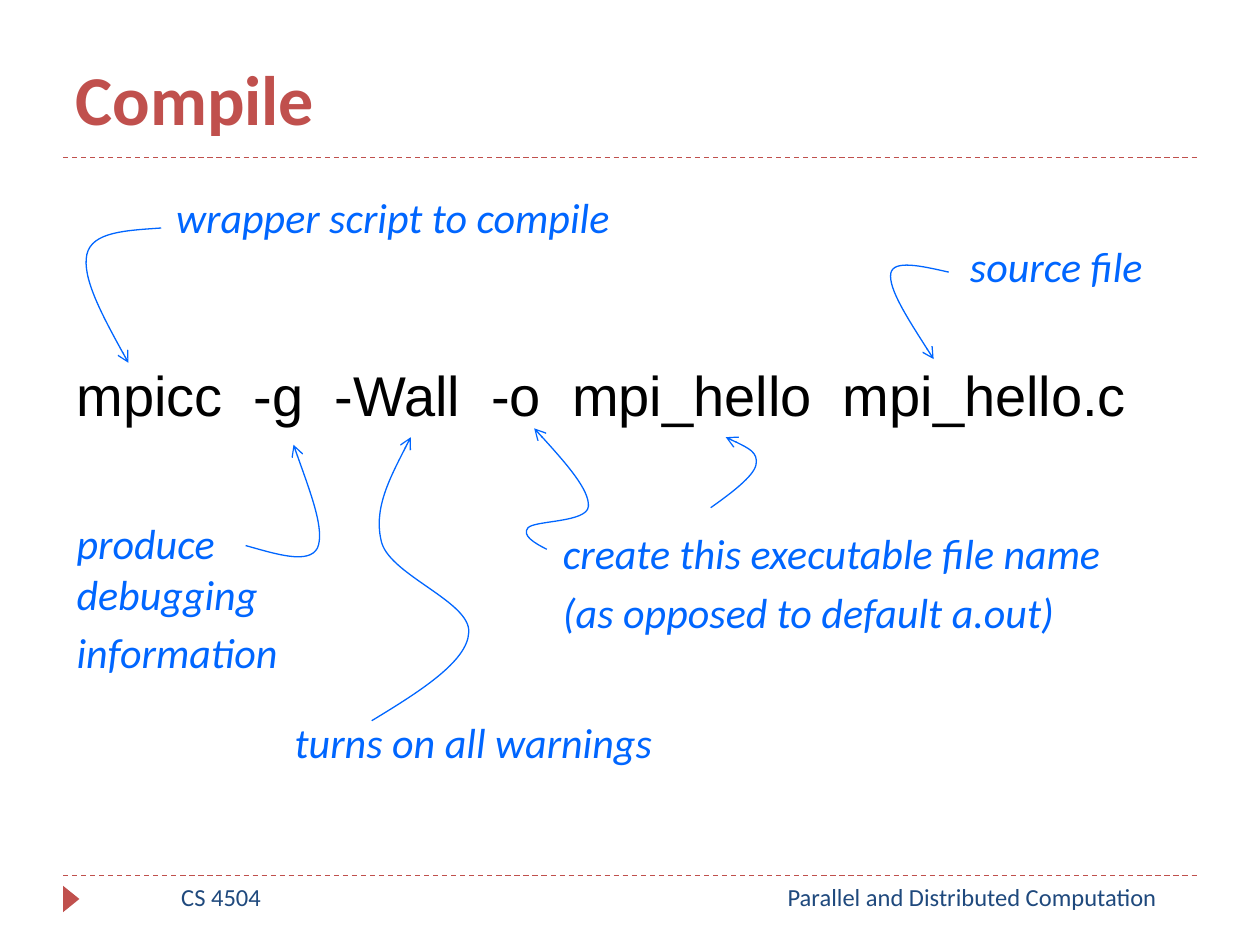
import pptx
import pptx.util
import pptx.dml.color
import pptx.enum.dml
import pptx.enum.shapes
import pptx.enum.text
import pptx.oxml
import pptx.oxml.ns

RGB = pptx.dml.color.RGBColor
RED = RGB(0xC0, 0x50, 0x4D)
NAVY = RGB(0x1F, 0x49, 0x7D)
BLUE = RGB(0x00, 0x66, 0xFF)
BLACK = RGB(0x00, 0x00, 0x00)

SCALE = 9144  # EMU per px, 100 px to the inch
ALIGN = pptx.enum.text.PP_ALIGN
NO_FIT = pptx.enum.text.MSO_AUTO_SIZE.NONE
FIT_SHAPE = pptx.enum.text.MSO_AUTO_SIZE.SHAPE_TO_FIT_TEXT


def px(*lengths):
    return [pptx.util.Emu(length * SCALE) for length in lengths]


class CompileSlide:
    font = "Calibri"
    line_width = pptx.util.Pt(0.75)

    def __init__(self, deck):
        self.slide = deck.slides.add_slide(deck.slide_layouts[5])
        self.shapes = self.slide.shapes

    def add_runs(self, paragraph, text, size, color, font=None, bold=False, italic=False):
        for index, line in enumerate(text.split("\n")):
            if index:
                paragraph.add_line_break()
            run = paragraph.add_run()
            run.text = line
            run.font.name = font or self.font
            run.font.size = pptx.util.Pt(size)
            run.font.color.rgb = color
            run.font.bold = bold
            run.font.italic = italic

    def title(self, text, box):
        heading = self.shapes.title
        heading.left, heading.top, heading.width, heading.height = px(*box)
        frame = heading.text_frame
        frame.auto_size = NO_FIT
        frame.vertical_anchor = pptx.enum.text.MSO_ANCHOR.BOTTOM
        frame.paragraphs[0].alignment = ALIGN.LEFT
        self.add_runs(frame.paragraphs[0], text, 40, RED, bold=True)

    def text(self, paragraphs, box, size, color, align=ALIGN.LEFT,
             wrap=True, fit=NO_FIT, **style):
        frame = self.shapes.add_textbox(*px(*box)).text_frame
        frame.word_wrap = wrap
        frame.auto_size = fit
        for index, content in enumerate(paragraphs):
            paragraph = frame.add_paragraph() if index else frame.paragraphs[0]
            paragraph.alignment = align
            if index:
                paragraph.space_before = pptx.util.Pt(size * 0.2)
            self.add_runs(paragraph, content, size, color, **style)

    def note(self, paragraphs, box):
        self.text(paragraphs, box, 24, BLUE, wrap=False, fit=FIT_SHAPE, italic=True)

    def rule(self, y):
        straight = pptx.enum.shapes.MSO_CONNECTOR.STRAIGHT
        rule = self.shapes.add_connector(straight, *px(50, y, 950, y))
        rule.line.color.rgb = RED
        rule.line.width = self.line_width
        rule.line.dash_style = pptx.enum.dml.MSO_LINE.DASH
        effects = pptx.oxml.parse_xml(
            "<a:effectLst %s/>" % pptx.oxml.ns.nsdecls("a"))
        rule._element.spPr.append(effects)

    def marker(self, box):
        triangle = pptx.enum.shapes.MSO_SHAPE.ISOSCELES_TRIANGLE
        marker = self.shapes.add_shape(triangle, *px(*box))
        marker.rotation = 90
        marker.shadow.inherit = False
        marker.fill.solid()
        marker.fill.fore_color.rgb = RED
        marker.line.fill.background()

    def curved_arrow(self, start, *controls):
        """Draw Bezier segments; each takes three of the control points."""
        qn = pptx.oxml.ns.qn
        builder = self.shapes.build_freeform(*start, scale=SCALE)
        builder.add_line_segments(controls, close=False)
        arrow = builder.convert_to_shape()
        arrow.shadow.inherit = False
        arrow.fill.background()
        arrow.line.color.rgb = BLUE
        arrow.line.width = self.line_width

        # Turn every three straight segments into one cubic curve
        outline = next(arrow._element.iter(qn("a:path")))
        segments = outline.findall(qn("a:lnTo"))
        for first in range(0, len(segments), 3):
            curve = outline.makeelement(qn("a:cubicBezTo"), {})
            outline.append(curve)
            for segment in segments[first:first + 3]:
                curve.append(segment[0])
                outline.remove(segment)

        stroke = arrow.line._get_or_add_ln()
        stroke.append(stroke.makeelement(qn("a:tailEnd"), {"type": "arrow"}))


def main():
    deck = pptx.Presentation()
    deck.slide_width, deck.slide_height = px(1000, 750)
    page = CompileSlide(deck)

    # Frame: rules, marker, title and footer
    for y in (695, 125):
        page.rule(y)
    page.marker((46, 707, 21, 13))
    page.title("Compile", (50, 8, 900, 108))
    page.text(["Parallel and Distributed Computation"], (592, 695, 359, 40),
              14, NAVY, ALIGN.CENTER)
    page.text(["CS 4504"], (67, 695, 217, 40), 14, NAVY, ALIGN.CENTER)

    # Command line
    page.text(["mpicc  -g  -Wall  -o  mpi_hello  mpi_hello.c"],
              (51, 281, 898, 64), 32, BLACK, fit=FIT_SHAPE, font="Arial")

    # Notes on each part of the command
    page.note(["wrapper script to compile"], (130, 147, 404, 50))
    page.note(["turns on all warnings"], (224, 564, 329, 50))
    page.note(["source file"], (760, 186, 174, 51))
    page.note(["create this executable file name", "(as opposed to default a.out)"],
              (437, 414, 494, 99))
    page.note(["produce\ndebugging", "information"], (51, 406, 187, 139))

    # Arrows from the notes to mpicc, mpi_hello.c, -g, -Wall, mpi_hello and -o
    page.curved_arrow((128, 181), (100, 183), (73, 184), (69, 202),
                      (65, 220), (83, 254), (102, 288))
    page.curved_arrow((753, 216), (731, 211), (709, 206), (707, 217),
                      (705, 229), (723, 257), (741, 285))
    page.curved_arrow((195, 433), (220, 440), (245, 448), (252, 435),
                      (258, 421), (245, 387), (233, 353))
    page.curved_arrow((295, 572), (333, 549), (371, 525), (372, 502),
                      (374, 478), (311, 457), (303, 431),
                      (296, 405), (311, 376), (326, 347))
    page.curved_arrow((564, 403), (581, 391), (598, 378), (600, 369),
                      (602, 359), (589, 353), (576, 347))
    page.curved_arrow((434, 436), (424, 431), (414, 425), (419, 419),
                      (424, 413), (466, 415), (467, 402),
                      (468, 389), (446, 364), (424, 340))

    deck.save("out.pptx")


if __name__ == "__main__":
    main()
